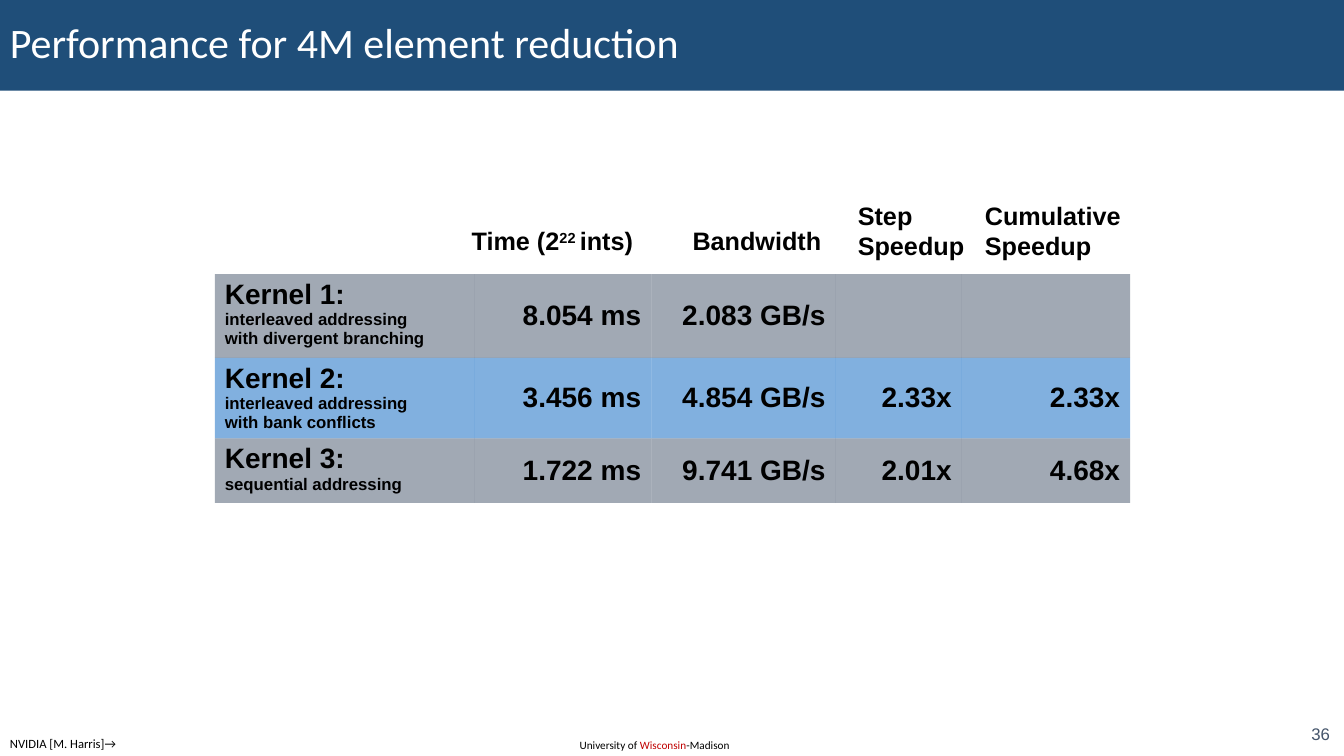
"""Build the slide on performance of the 4M element reduction kernels."""
from copy import deepcopy
from itertools import accumulate

from lxml.etree import SubElement
from pptx import Presentation
from pptx.dml.color import RGBColor
from pptx.enum.shapes import MSO_SHAPE as Shape
from pptx.enum.text import MSO_ANCHOR as Anchor, MSO_AUTO_SIZE as AutoSize, PP_ALIGN as Align
from pptx.oxml.ns import qn
from pptx.util import Inches, Pt

COLOURS = {"banner": "1F4E79", "white": "FFFFFF", "black": "000000", "red": "C00000",
           "slate": "44546A", "blue": "0563C1"}
WIDTH, HEIGHT = 13.33, 7.5
TITLE = "Performance for 4M element reduction"
KERNELS = [
    ("Kernel 1: ", "interleaved addressing\nwith divergent branching",
     ["8.054 ms", "2.083 GB/s", "", ""], "slate", 0.83),
    ("Kernel 2:", "interleaved addressing\nwith bank conflicts",
     ["3.456 ms", "4.854 GB/s", "2.33x", "2.33x"], "blue", 0.8),
    ("Kernel 3:", "sequential addressing",
     ["1.722 ms", "9.741 GB/s", "2.01x", "4.68x"], "slate", 0.64),
]
COLUMNS = [2.58, 1.75, 1.83, 1.25, 1.67]
TABLE_LEFT, TABLE_TOP, HEADING_MIDDLE = 2.13, 2.72, 2.39
PLAIN_TABLE = "{2D5ABB26-0587-4C30-8999-92F81FD0307C}"

KERNEL = {"size": Pt(20), "name": "Arial", "bold": True}
DETAIL = KERNEL | {"size": Pt(12)}
HEADING = KERNEL | {"size": Pt(18)}
BANNER = {"size": Pt(30), "name": "Calibri"}
NUMBER = {"size": Pt(12), "name": "Arial"}
FOOTER = {"size": Pt(8), "name": "Calibri"}
CREDIT = FOOTER | {"size": Pt(9)}

HEADINGS = [
    (1, -0.13, 1.84, [("Time (2", HEADING), ("22 ", HEADING, "black", 30), ("ints)", HEADING)]),
    (2, 0.31, 1.48, [("Bandwidth", HEADING)]),
    (3, 0.12, 1.26, [("Step\nSpeedup", HEADING)]),
    (4, 0.13, 1.55, [("Cumulative\nSpeedup", HEADING)]),
]
LABELS = [
    ((5.65, 7.28, 1.72, 0.24), True, Align.LEFT,
     [("University of ", FOOTER), ("Wisconsin", FOOTER, "red"), ("-Madison", FOOTER)]),
    ((12.53, 7.13, 0.76, 0.29), True, Align.RIGHT, [("36", NUMBER, "slate")]),
    ((0, 7.25, 1.25, 0.25), False, Align.LEFT, [("NVIDIA [M. Harris]→", CREDIT)]),
]


def colour(name):
    return RGBColor.from_string(COLOURS[name])


def write(frame, spans, align=Align.LEFT):
    para = frame.paragraphs[0]
    para.alignment = align
    for text, style, ink, raised in ((*span, "black", 0)[:4] if len(span) < 3
                                     else (*span, 0)[:4] for span in spans):
        for number, line in enumerate(text.split("\n")):
            if number:
                para.add_line_break()
                para._p[-1].append(deepcopy(span._r.rPr))
            if not line:
                continue
            span = para.add_run()
            span.text = line
            for key, value in style.items():
                setattr(span.font, key, value)
            span.font.color.rgb = colour(ink)
            if raised:
                span._r.rPr.set("baseline", str(raised * 1000))
    return para


def add_label(page, place, spans, wrap=False, align=Align.LEFT):
    box = page.shapes.add_textbox(*map(Inches, place))
    box.text_frame.word_wrap = wrap
    box.text_frame.auto_size = AutoSize.SHAPE_TO_FIT_TEXT
    write(box.text_frame, spans, align)


def add_banner(page):
    banner = page.shapes.add_shape(Shape.RECTANGLE, 0, 0, Inches(WIDTH), Inches(0.9))
    banner.shadow.inherit = False
    banner.fill.solid()
    banner.fill.fore_color.rgb = colour("banner")
    banner.line.fill.background()
    banner.text_frame.word_wrap = True
    banner.text_frame.vertical_anchor = Anchor.MIDDLE
    write(banner.text_frame, [(TITLE, BANNER, "white")]).line_spacing = 0.9


def add_results(page):
    heights = [kernel[-1] for kernel in KERNELS]
    place = TABLE_LEFT, TABLE_TOP, sum(COLUMNS), sum(heights)
    frame = page.shapes.add_table(len(KERNELS), len(COLUMNS), *map(Inches, place))
    table = frame.table
    table.first_row = table.horz_banding = False
    table._tbl.tblPr.find(qn("a:tableStyleId")).text = PLAIN_TABLE
    for column, width in zip(table.columns, COLUMNS):
        column.width = Inches(width)
    for row, (name, detail, values, fill, height) in zip(table.rows, KERNELS):
        row.height = Inches(height)
        for number, cell in enumerate(row.cells):
            cell.fill.solid()
            cell.fill.fore_color.rgb = colour(fill)
            tint = cell._tc.tcPr.find(qn("a:solidFill"))[0]
            SubElement(tint, qn("a:alpha"), val="50000")
            if number:
                cell.vertical_anchor = Anchor.MIDDLE
                write(cell.text_frame, [(values[number - 1], KERNEL)], Align.RIGHT)
            else:
                write(cell.text_frame, [(name + "\n", KERNEL), (detail, DETAIL)])
                for line_break in cell._tc.iter(qn("a:br")):
                    line_break.getparent()


def add_headings(page):
    lefts = list(accumulate(COLUMNS, initial=TABLE_LEFT))
    for column, shift, width, spans in HEADINGS:
        lines = 1 + spans[0][0].count("\n")
        place = lefts[column] + shift, HEADING_MIDDLE + 0.05 - 0.25 * lines, width, 0.1 + 0.3 * lines
        add_label(page, place, spans)


def main():
    deck = Presentation()
    deck.slide_width, deck.slide_height = Inches(WIDTH), Inches(HEIGHT)
    page = deck.slides.add_slide(deck.slide_layouts[6])
    add_banner(page)
    add_results(page)
    add_headings(page)
    for place, wrap, align, spans in LABELS:
        add_label(page, place, spans, wrap, align)
    deck.save("out.pptx")


if __name__ == "__main__":
    main()
